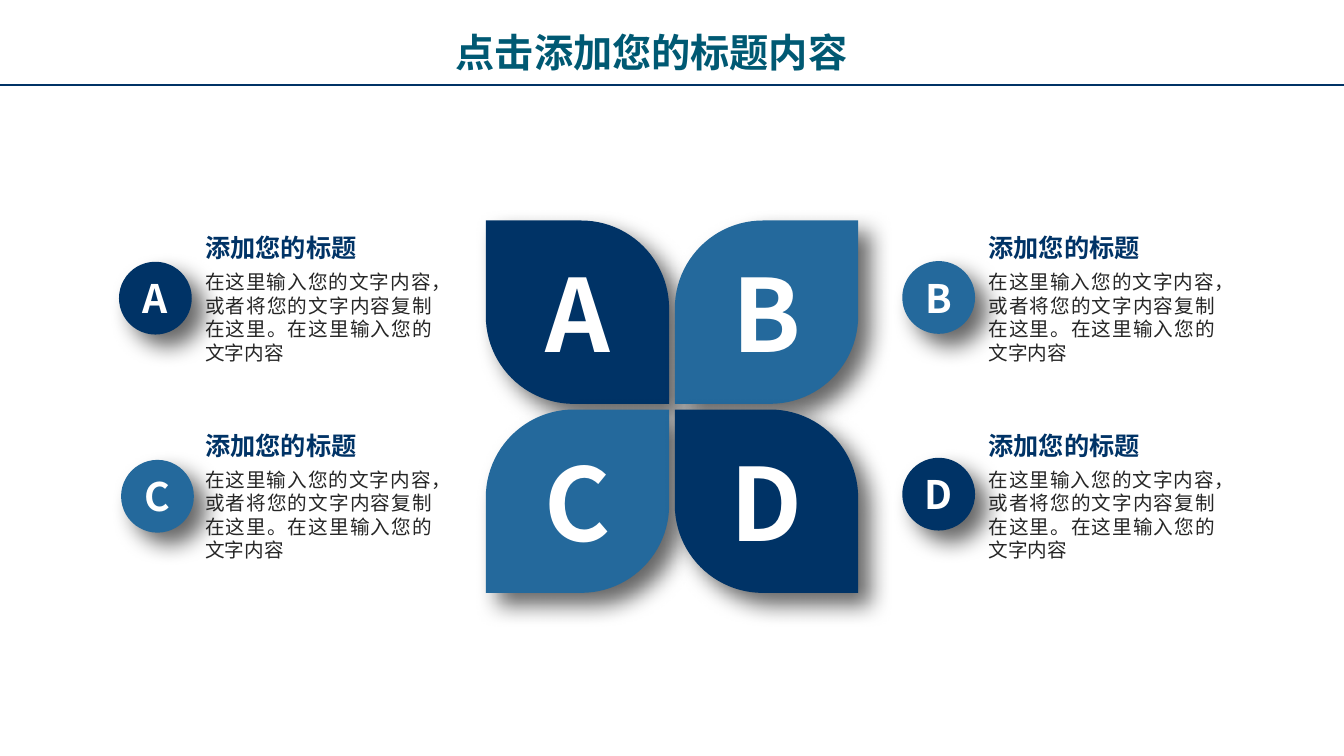
from lxml import etree
from pptx import Presentation
from pptx import util as u
from pptx.dml.color import RGBColor
from pptx.enum import shapes, text
from pptx.oxml.ns import qn

NAVY = RGBColor(0x00, 0x33, 0x66)
BLUE = RGBColor(0x24, 0x69, 0x9C)
TEAL = RGBColor(0x00, 0x59, 0x73)
INK = RGBColor(0x26, 0x26, 0x26)
WHITE = RGBColor(0xFF, 0xFF, 0xFF)

HEADING = "添加您的标题"
BODY = "在这里输入您的文字内容，或者将您的文字内容复制在这里。在这里输入您的文字内容"


class Deck:
    font = "Noto Sans CJK SC"

    def __init__(self, width, height):
        self.prs = Presentation()
        self.prs.slide_width, self.prs.slide_height = u.Pt(width), u.Pt(height)
        self.s = self.prs.slides.add_slide(self.prs.slide_layouts[6])

    def fill_text(self, tf, content, align, size, color, bold):
        p = tf.paragraphs[0]
        p.alignment = align
        r = p.add_run()
        r.text = content
        for name, value in {"name": self.font, "size": u.Pt(size), "bold": bold}.items():
            setattr(r.font, name, value)
        r.font.color.rgb = color
        etree.SubElement(r.font._element, qn("a:ea"), typeface=self.font)

    def label(self, x, y, w, h, content, size, color, bold=True, align=text.PP_ALIGN.JUSTIFY):
        tf = self.s.shapes.add_textbox(*map(u.Pt, (x, y, w, h))).text_frame
        tf.word_wrap = True
        tf.auto_size = text.MSO_AUTO_SIZE.SHAPE_TO_FIT_TEXT
        self.fill_text(tf, content, align, size, color, bold)

    def shape(self, kind, x, y, side, color, letter, size, adjustments=()):
        sp = self.s.shapes.add_shape(kind, *map(u.Pt, (x, y, side, side)))
        for i, value in enumerate(adjustments):
            sp.adjustments[i] = value
        sp.fill.solid()
        sp.fill.fore_color.rgb = color
        sp.line.fill.background()
        self.drop_shadow(sp)
        tf = sp.text_frame
        frame = dict.fromkeys(("margin_left", "margin_top", "margin_right", "margin_bottom"), 0)
        frame.update(word_wrap=False, vertical_anchor=text.MSO_ANCHOR.MIDDLE)
        for name, value in frame.items():
            setattr(tf, name, value)
        self.fill_text(tf, letter, text.PP_ALIGN.CENTER, size, WHITE, True)

    def drop_shadow(self, sp):
        sp.shadow.inherit = False
        effects = sp._element.spPr.find(qn("a:effectLst"))
        shadow = etree.SubElement(effects, qn("a:outerShdw"), blurRad=str(u.Pt(16)),
                                  dist=str(u.Pt(12)), dir="2700000", algn="tl", rotWithShape="0")
        black = etree.SubElement(shadow, qn("a:srgbClr"), val="000000")
        etree.SubElement(black, qn("a:alpha"), val="60000")

    def rule(self, x1, y1, x2, y2, color, width):
        line = self.s.shapes.add_connector(shapes.MSO_CONNECTOR.STRAIGHT, *map(u.Pt, (x1, y1, x2, y2)))
        line.line.color.rgb = color
        line.line.width = u.Pt(width)
        etree.SubElement(line._element.spPr, qn("a:effectLst"))


def main():
    deck = Deck(960, 540)

    # Title and rule
    deck.rule(0, 61, 960, 61, NAVY, 1.5)
    deck.label(318.5, 17, 324, 41, "点击添加您的标题内容", 28, TEAL, align=text.PP_ALIGN.LEFT)

    # Petals, round badges and their texts, in a two by two grid
    badges = {"A": (85, 187), "B": (644.5, 186.5), "C": (86.5, 328.5), "D": (644.5, 327)}
    for i, (letter, (badge_x, badge_y)) in enumerate(badges.items()):
        row, col = divmod(i, 2)
        diagonal = row == col
        color = NAVY if diagonal else BLUE
        corners = (0, 0.48) if diagonal else (0.48, 0)
        deck.shape(shapes.MSO_SHAPE.ROUND_2_DIAG_RECTANGLE, 347 + 135 * col, 157.5 + 135 * row,
                   131, color, letter, 72, corners)
        deck.shape(shapes.MSO_SHAPE.OVAL, badge_x, badge_y, 52, color, letter, 28)
        text_x, text_y = 139.5 + 559.5 * col, 162.5 + 141 * row
        deck.label(text_x, text_y, 176, 29, HEADING, 18, NAVY)
        deck.label(text_x, text_y + 27, 176, 75, BODY, 14, INK, bold=False)

    deck.prs.save("out.pptx")


if __name__ == "__main__":
    main()
